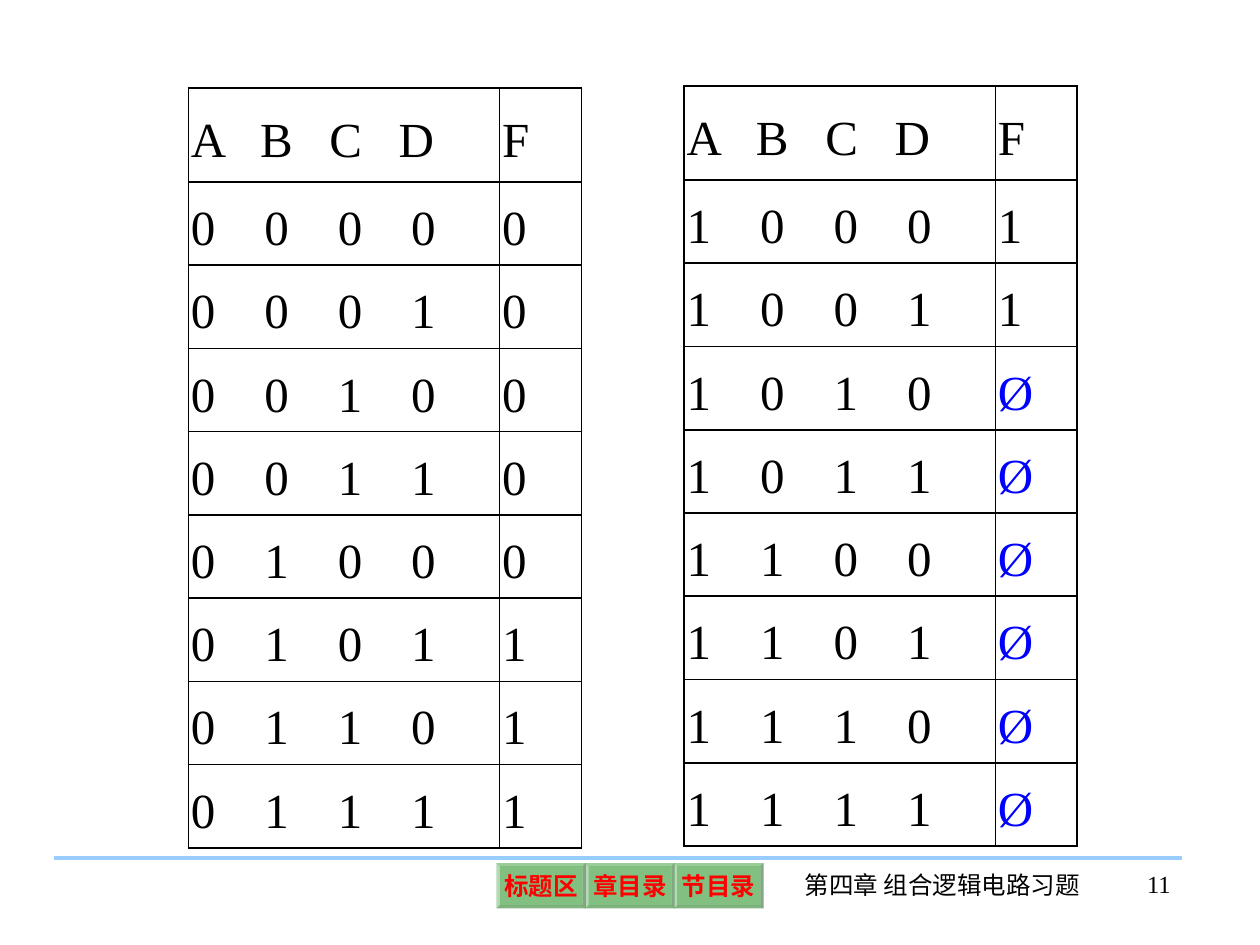
from dataclasses import dataclass

from lxml.etree import SubElement
from pptx import Presentation
from pptx.dml.color import RGBColor
from pptx.enum.shapes import MSO_CONNECTOR, MSO_SHAPE
from pptx.enum.text import MSO_ANCHOR, PP_ALIGN
from pptx.oxml.ns import qn
from pptx.util import Inches, Pt

COLS, ROWS = 100, 75


@dataclass(frozen=True)
class Theme:
    font: str = "Times New Roman"
    ink: str = "000000"
    unknown: str = "0000FF"
    rule: str = "99CCFF"
    button: str = "008000"
    button_text: str = "FF0000"
    table_size: int = 28
    footer_size: int = 14


class Deck:
    """Places elements on a grid of COLS by ROWS cells."""

    def __init__(self, theme):
        self.theme = theme
        self.prs = Presentation()
        self.prs.slide_width, self.prs.slide_height = Inches(10), Inches(7.5)
        self.s = self.prs.slides.add_slide(self.prs.slide_layouts[6])

    def x(self, cols):
        return int(self.prs.slide_width * cols / COLS)

    def y(self, rows):
        return int(self.prs.slide_height * rows / ROWS)

    def box(self, left, top, width, height):
        return self.x(left), self.y(top), self.x(width), self.y(height)

    def set_text(self, tf, text, size, color, align=PP_ALIGN.LEFT, bold=False, tab=None):
        """Fill the first paragraph; tab is the pitch of its tab stops in columns."""
        p = tf.paragraphs[0]
        p.text, p.alignment = text, align
        if tab:
            p.line_spacing = 1.2
            stops = SubElement(p._p.get_or_add_pPr(), qn("a:tabLst"))
            for i in range(text.count("\t")):
                SubElement(stops, qn("a:tab"), pos=str(self.x(tab * (i + 1))), algn="l")
        p.font.name, p.font.size, p.font.bold = self.theme.font, Pt(size), bold
        p.font.color.rgb = RGBColor.from_string(color)

    def label(self, text, box, align):
        tf = self.s.shapes.add_textbox(*self.box(*box)).text_frame
        tf.word_wrap = True
        self.set_text(tf, text, self.theme.footer_size, self.theme.ink, align)

    def rule(self, left, right, row):
        line = self.s.shapes.add_connector(
            MSO_CONNECTOR.STRAIGHT, self.x(left), self.y(row), self.x(right), self.y(row))
        line.line.color.rgb = RGBColor.from_string(self.theme.rule)
        line.line.width = Pt(2.25)
        SubElement(line._element.spPr, qn("a:effectLst"))

    def button(self, text, box):
        sp = self.s.shapes.add_shape(MSO_SHAPE.BEVEL, *self.box(*box))
        sp.adjustments[0] = 0.07
        sp.shadow.inherit = False
        sp.fill.solid()
        sp.fill.fore_color.rgb = RGBColor.from_string(self.theme.button)
        color = sp._element.spPr.find(qn("a:solidFill"))[0]
        SubElement(color, qn("a:alpha"), val="49000")
        sp.line.fill.background()
        tf = sp.text_frame
        tf.word_wrap = False
        tf.vertical_anchor = MSO_ANCHOR.MIDDLE
        tf.margin_left = tf.margin_right = tf.margin_top = tf.margin_bottom = Inches(0.04)
        self.set_text(tf, text, self.theme.footer_size, self.theme.button_text,
                      PP_ALIGN.CENTER, bold=True)

    def borders(self, cell):
        tcPr = cell._tc.get_or_add_tcPr()
        for side in ("lnL", "lnR", "lnT", "lnB"):
            ln = SubElement(tcPr, qn(f"a:{side}"), w=str(Pt(1.08)))
            SubElement(SubElement(ln, qn("a:solidFill")), qn("a:srgbClr"), val=self.theme.ink)

    def truth_table(self, left, top, first, outputs):
        """Draw the rows of a four-input function, starting at input value first."""
        widths, head_height, row_height = (24.7, 6.5), 7.44, 6.61
        height = head_height + row_height * len(outputs)
        table = self.s.shapes.add_table(
            len(outputs) + 1, 2, *self.box(left, top, sum(widths), height)).table
        table.first_row = table.horz_banding = False
        for col, width in zip(table.columns, widths):
            col.width = self.x(width)
        inputs = ["ABCD"] + [f"{first + i:04b}" for i in range(len(outputs))]
        for i, pair in enumerate(zip(inputs, "F" + outputs)):
            table.rows[i].height = self.y(row_height if i else head_height)
            for j, value in enumerate(pair):
                cell = table.cell(i, j)
                cell.vertical_anchor = MSO_ANCHOR.MIDDLE
                cell.margin_left = cell.margin_right = Inches(0.02)
                cell.margin_top = cell.margin_bottom = Inches(0.05)
                self.borders(cell)
                cell.fill.background()
                color = self.theme.unknown if value == "Ø" else self.theme.ink
                self.set_text(cell.text_frame, "\t".join(value), self.theme.table_size,
                              color, tab=5.83 if i else 5.5)


def main():
    deck = Deck(Theme())
    deck.rule(4.3, 93.8, 68.1)
    deck.label("第四章 组合逻辑电路习题", (61.5, 68.6, 26.6, 5), PP_ALIGN.CENTER)
    deck.label("11", (85.3, 68.5, 8.6, 5), PP_ALIGN.RIGHT)
    deck.truth_table(14.95, 7, 0, "00000111")
    deck.truth_table(54.3, 6.85, 8, "11ØØØØØØ")
    for i, text in enumerate(("标题区", "章目录", "节目录")):
        deck.button(text, (39.4 + 7.05 * i, 68.5, 7.1, 3.6))
    deck.prs.save("out.pptx")


if __name__ == "__main__":
    main()
